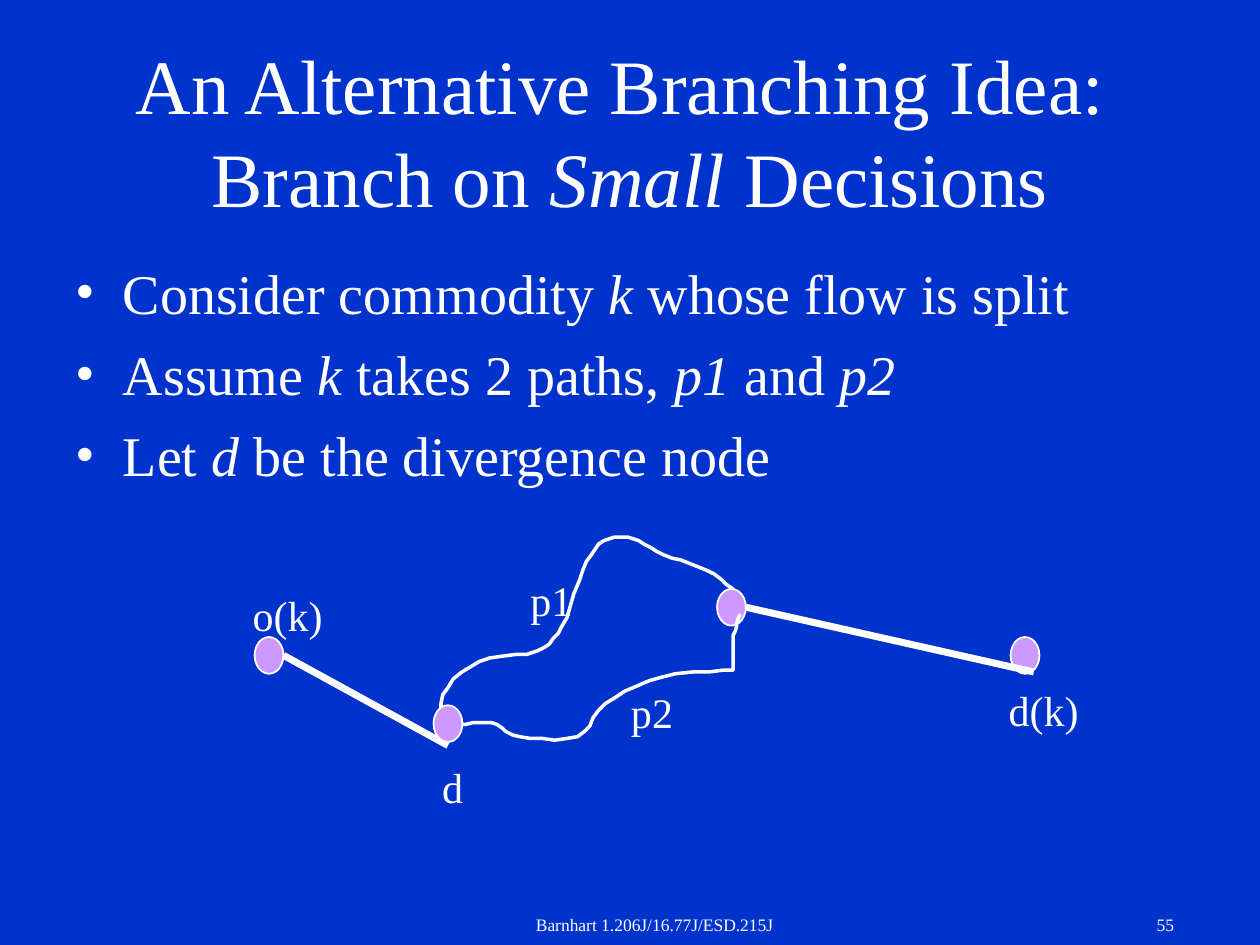
from itertools import chain
from lxml.etree import SubElement
from pptx import Presentation
from pptx.dml.color import RGBColor
from pptx.enum.shapes import MSO_CONNECTOR as Connector, MSO_SHAPE as Shape
from pptx.enum.text import MSO_ANCHOR as Anchor, MSO_AUTO_SIZE as AutoSize, PP_ALIGN as Align
from pptx.oxml.ns import qn
from pptx.util import Pt

BLUE, WHITE, LILAC = "0033CC", "FFFFFF", "CC99FF"
FONT = "Times New Roman"

HEADING = ["An Alternative Branching Idea: \vBranch on *Small* Decisions"]
POINTS = [
    "Consider commodity *k* whose flow is split",
    "Assume *k* takes 2 paths, *p1* and *p2*",
    "Let *d* be the divergence node",
]
FOOTERS = [
    ("Barnhart 1.206J/16.77J/ESD.215J", 260, 228, Align.CENTER),
    ("55", 528, 150, Align.RIGHT),
]

NODE_WIDTH, NODE_HEIGHT = 16.5, 21
NODES = {
    "origin": (153.75, 374.5),
    "destination": (585.75, 374.5),
    "merge": (418, 347),
    "divergence": (256, 413.5),
}
ARCS = [
    {"start": "origin", "end": "divergence", "end_offset": (0, 12.5)},
    {"start": "merge", "end": "destination", "end_offset": (5, 9.5)},
]
NODE_LABELS = [
    {"text": "o(k)", "node": "origin", "offset": (-16.5, -41), "width": 59},
    {"text": "d(k)", "node": "destination", "offset": (-16.5, 13), "width": 59},
    {"text": "d", "node": "divergence", "offset": (-10.5, 18), "width": 29},
]
PATHS = [
    {
        "label": "p1",
        "label_at": (296, 325),
        "legs": [
            [(254, 421), (253, 397), (274, 378), (307, 372), (321, 358), (333, 326),
             (345, 309), (362, 308), (379, 317), (404, 326), (420, 338)],
        ],
    },
    {
        "label": "p2",
        "label_at": (353.5, 389),
        "legs": [
            [(264, 414), (281, 413), (297, 421), (330, 421), (346, 402), (378, 387),
             (419, 383)],
            [(419, 363), (423, 351)],
        ],
    },
]
PATH_LABEL_WIDTH = 42
CURVE_STEPS = 5


def color(target, value):
    target.rgb = RGBColor.from_string(value)


def place(shape, left, top, width, height):
    shape.left, shape.top, shape.width, shape.height = map(Pt, (left, top, width, height))


def shift(point, offset):
    return point[0] + offset[0], point[1] + offset[1]


def spline(before, start, end, after, t):
    return 0.5 * (2 * start + (end - before) * t
                  + (2 * before - 5 * start + 4 * end - after) * t ** 2
                  + (3 * start - before - 3 * end + after) * t ** 3)


def smooth_curve(waypoints):
    padded = [waypoints[0], *waypoints, waypoints[-1]]
    curve = [waypoints[0]]
    for neighbours in zip(padded, padded[1:], padded[2:], padded[3:]):
        xs, ys = zip(*neighbours)
        for step in range(1, CURVE_STEPS + 1):
            t = step / CURVE_STEPS
            curve.append((spline(*xs, t), spline(*ys, t)))
    return curve


def add_bullet(paragraph, indent):
    properties = paragraph._p.get_or_add_pPr()
    properties.set("marL", str(Pt(indent)))
    properties.set("indent", str(-Pt(indent)))
    SubElement(SubElement(properties, qn("a:buClr")), qn("a:srgbClr"), val=WHITE)
    SubElement(properties, qn("a:buFont"), typeface=FONT)
    SubElement(properties, qn("a:buChar"), char="•")


def write(shape, lines, size=24, align=Align.LEFT, gap=0, indent=0, wrap=True):
    frame = shape.text_frame
    frame.word_wrap = wrap
    frame.auto_size = AutoSize.NONE
    frame.vertical_anchor = Anchor.TOP
    frame.margin_left = frame.margin_right = Pt(7.2)
    frame.margin_top = frame.margin_bottom = Pt(3.6)
    for number, line in enumerate(lines):
        paragraph = frame.add_paragraph() if number else frame.paragraphs[0]
        paragraph.alignment = align
        paragraph.space_before = Pt(gap if number else 0)
        if indent:
            add_bullet(paragraph, indent)
        for position, part in enumerate(line.split("*")):
            for row, words in enumerate(part.split("\v")):
                if row:
                    paragraph.add_line_break()
                if words:
                    run = paragraph.add_run()
                    run.text = words
                    run.font.name, run.font.size = FONT, Pt(size)
                    run.font.italic = position % 2 == 1
                    color(run.font.color, WHITE)


def outline(shape, width):
    color(shape.line.color, WHITE)
    shape.line.width = Pt(width)


def add_text(slide, text, left, top, width, height, **style):
    box = slide.shapes.add_textbox(*map(Pt, (left, top, width, height)))
    write(box, [text], **style)


def add_label(slide, text, corner, width):
    add_text(slide, text, *corner, width, 36, wrap=False)


def add_node(slide, center):
    corner = shift(center, (-NODE_WIDTH / 2, -NODE_HEIGHT / 2))
    node = slide.shapes.add_shape(Shape.OVAL, *map(Pt, (*corner, NODE_WIDTH, NODE_HEIGHT)))
    node.shadow.inherit = False
    node.fill.solid()
    color(node.fill.fore_color, LILAC)
    outline(node, 1)


def add_arc(slide, start, end, end_offset):
    right_edge = shift(NODES[start], (NODE_WIDTH / 2, 0))
    tip = shift(NODES[end], end_offset)
    arc = slide.shapes.add_connector(Connector.STRAIGHT, *map(Pt, right_edge + tip))
    outline(arc, 4)
    SubElement(arc._element.spPr, qn("a:effectLst"))


def add_path(slide, legs):
    first, *rest = chain.from_iterable(map(smooth_curve, legs))
    builder = slide.shapes.build_freeform(*first, scale=Pt(1))
    builder.add_line_segments(rest, close=False)
    path = builder.convert_to_shape()
    path.shadow.inherit = False
    path.fill.background()
    outline(path, 2)


def add_network(slide):
    upper_path, lower_path = PATHS
    add_path(slide, upper_path["legs"])
    for name in ("origin", "destination", "merge"):
        add_node(slide, NODES[name])
    for arc in ARCS:
        add_arc(slide, **arc)
    add_path(slide, lower_path["legs"])
    for path in PATHS:
        add_label(slide, path["label"], path["label_at"], PATH_LABEL_WIDTH)
    for label in NODE_LABELS:
        corner = shift(NODES[label["node"]], label["offset"])
        add_label(slide, label["text"], corner, label["width"])
    add_node(slide, NODES["divergence"])


def main():
    deck = Presentation()
    deck.slide_width, deck.slide_height = Pt(720), Pt(540)
    slide = deck.slides.add_slide(deck.slide_layouts[1])
    slide.background.fill.solid()
    color(slide.background.fill.fore_color, BLUE)

    title, body = slide.placeholders
    place(title, 54, 18, 612, 90)
    write(title, HEADING, size=44, align=Align.CENTER)
    place(body, 36, 144, 612, 325)
    write(body, POINTS, size=32, gap=8, indent=27)

    add_network(slide)
    for text, left, width, align in FOOTERS:
        add_text(slide, text, left, 519, width, 21, size=10, align=align)
    deck.save("out.pptx")


if __name__ == "__main__":
    main()
